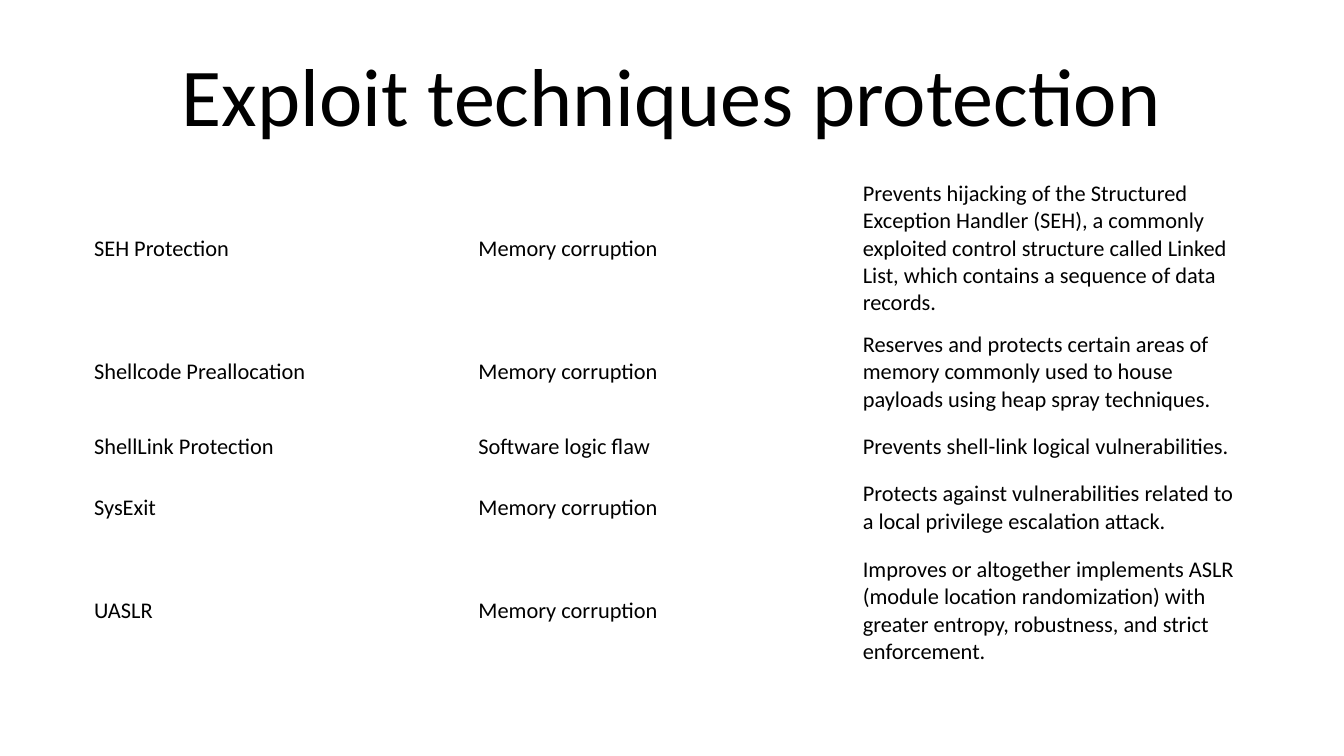
"""Build a slide listing exploit techniques and how each is protected against."""
import pptx
import pptx.dml.color
import pptx.enum.text
import pptx.util

COLORS = {"text": "000000", "background": "FFFFFF"}
FONT = "Calibri"
HEADING = "Exploit techniques protection"
TECHNIQUES = [
    (1.08, "SEH Protection", "Memory corruption",
     "Prevents hijacking of the Structured Exception Handler (SEH), a commonly exploited "
     "control structure called Linked List, which contains a sequence of data records."),
    (0.76, "Shellcode Preallocation", "Memory corruption",
     "Reserves and protects certain areas of memory commonly used to house payloads "
     "using heap spray techniques."),
    (0.35, "ShellLink Protection", "Software logic flaw",
     "Prevents shell-link logical vulnerabilities."),
    (0.56, "SysExit", "Memory corruption",
     "Protects against vulnerabilities related to a local privilege escalation attack."),
    (0.97, "UASLR", "Memory corruption",
     "Improves or altogether implements ASLR (module location randomization) with greater "
     "entropy, robustness, and strict enforcement."),
]
SLIDE_WIDTH = 10
SLIDE_HEIGHT = SLIDE_WIDTH * 9 / 16
COLUMN_WIDTH = 2.86
COLUMN_COUNT = 3

Inches = pptx.util.Inches
MIDDLE = pptx.enum.text.MSO_ANCHOR.MIDDLE
CELL_FORMAT = {
    "vertical_anchor": MIDDLE,
    "margin_left": Inches(0.03),
    "margin_right": Inches(0.03),
    "margin_top": Inches(0.02),
    "margin_bottom": Inches(0.02),
}
HEADING_FORMAT = {"word_wrap": True, "vertical_anchor": MIDDLE}
TABLE_FORMAT = {"first_row": False, "horz_banding": False}


def apply(target, settings):
    for name, value in settings.items():
        setattr(target, name, value)


def color(name):
    return pptx.dml.color.RGBColor.from_string(COLORS[name])


def write(frame, words, size):
    paragraph = frame.paragraphs[0]
    run = paragraph.add_run()
    run.text = words
    apply(run.font, {"name": FONT, "size": pptx.util.Pt(size), "bold": False})
    run.font.color.rgb = color("text")
    return paragraph


def add_heading(slide):
    frame = slide.shapes.add_textbox(Inches(0.5), Inches(0.23), Inches(9), Inches(0.94)).text_frame
    apply(frame, HEADING_FORMAT)
    write(frame, HEADING, 44).alignment = pptx.enum.text.PP_ALIGN.CENTER


def add_techniques(slide):
    height = sum(technique[0] for technique in TECHNIQUES)
    table = slide.shapes.add_table(
        len(TECHNIQUES), COLUMN_COUNT, Inches(0.67), Inches(1.31),
        Inches(COLUMN_WIDTH * COLUMN_COUNT), Inches(height)).table
    apply(table, TABLE_FORMAT)
    for column in table.columns:
        column.width = Inches(COLUMN_WIDTH)
    for row, (row_height, *entries) in zip(table.rows, TECHNIQUES):
        row.height = Inches(row_height)
        for cell, entry in zip(row.cells, entries):
            apply(cell, CELL_FORMAT)
            cell.fill.background()
            write(cell.text_frame, entry, 12)


def main():
    deck = pptx.Presentation()
    apply(deck, {"slide_width": Inches(SLIDE_WIDTH), "slide_height": Inches(SLIDE_HEIGHT)})
    slide = deck.slides.add_slide(deck.slide_layouts[6])
    slide.background.fill.solid()
    slide.background.fill.fore_color.rgb = color("background")
    add_heading(slide)
    add_techniques(slide)
    deck.save("out.pptx")


if __name__ == "__main__":
    main()
